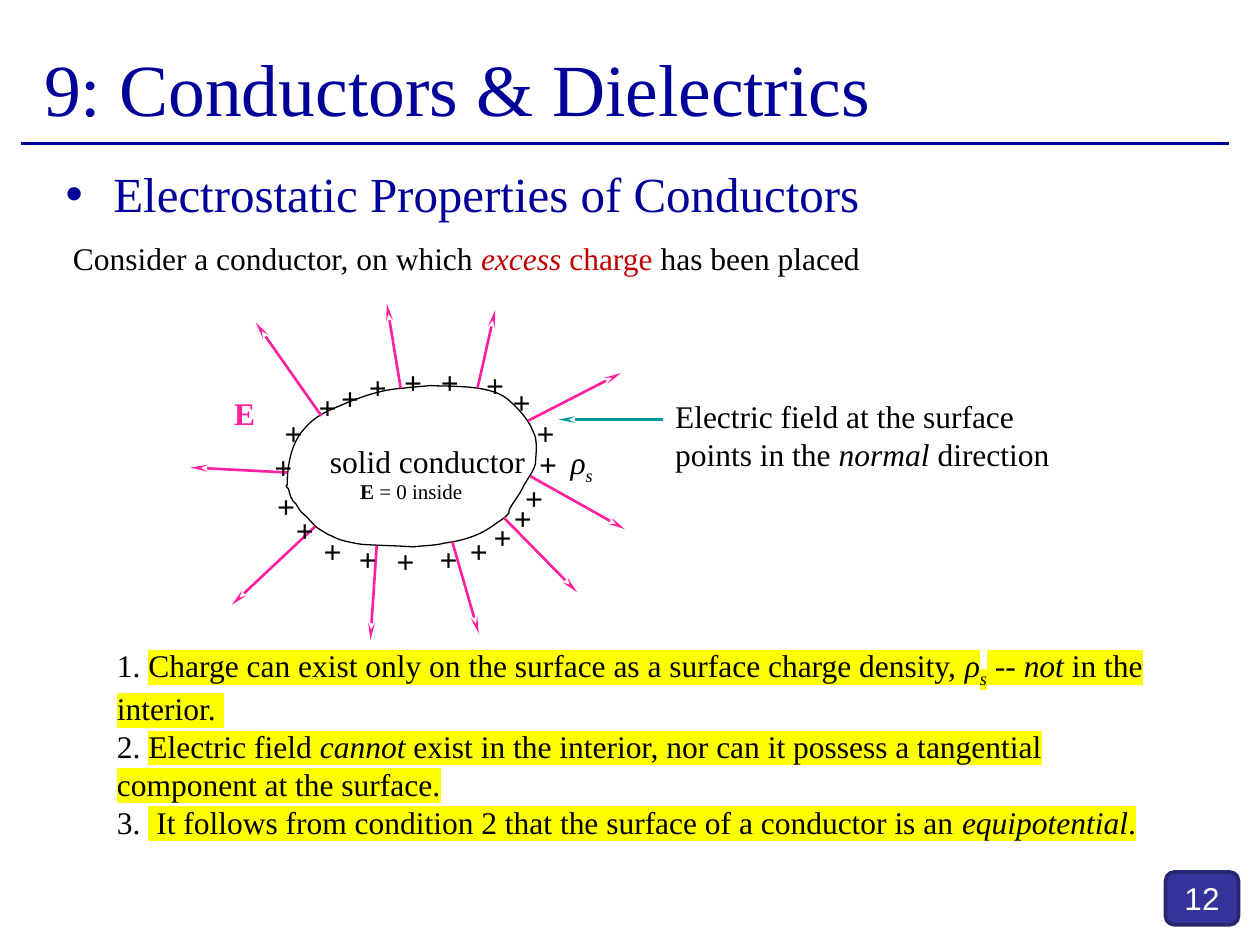
"""Build the slide on the electrostatic properties of conductors."""
from dataclasses import dataclass
from itertools import chain

from lxml.etree import SubElement
from pptx import Presentation
from pptx.dml.color import RGBColor
from pptx.enum.shapes import MSO_CONNECTOR as Connector, MSO_SHAPE as Shape
from pptx.enum.text import MSO_ANCHOR as Anchor, MSO_AUTO_SIZE as AutoSize, PP_ALIGN as Align
from pptx.oxml.ns import qn
from pptx.util import Emu, Pt

EMU_PER_PX = 9144


@dataclass(frozen=True)
class Theme:
    serif: str = "Times New Roman"
    sans: str = "Arial"
    heading: str = "000099"
    ink: str = "000000"
    paper: str = "FFFFFF"
    field: str = "FF20A2"
    pointer: str = "009999"
    accent: str = "C00000"
    marker: str = "FFFF00"
    badge: str = "333399"
    badge_edge: str = "262671"
    title_size: int = 42
    topic_size: int = 28
    text_size: int = 18
    note_size: int = 12


THEME = Theme()


@dataclass(frozen=True)
class Run:
    text: str
    bold: bool = False
    italic: bool = False
    subscript: bool = False
    color: str = THEME.ink
    highlight: str = ""
    size: int = THEME.text_size
    font: str = THEME.serif


@dataclass(frozen=True)
class Box:
    left: int
    top: int
    width: int
    height: int


@dataclass(frozen=True)
class Label:
    box: Box
    paragraphs: tuple[tuple[Run, ...], ...]
    wrap: bool = False


@dataclass(frozen=True)
class Line:
    start: tuple[int, int]
    end: tuple[int, int]
    color: str = THEME.field
    arrow: bool = True


def marked(text: str, **style) -> Run:
    return Run(text, highlight=THEME.marker, **style)


FIELD_LINES = [
    Line((421, 378), (496, 420)), Line((400, 411), (458, 470)),
    Line((419, 334), (493, 296)), Line((318, 308), (307, 241)),
    Line((379, 308), (393, 246)), Line((255, 330), (203, 256)),
    Line((359, 430), (380, 503)), Line((299, 433), (294, 508)),
    Line((250, 418), (184, 480)), Line((228, 375), (151, 371)),
]
RULE = Line((17, 114), (975, 114), THEME.heading, arrow=False)
POINTER = Line((526, 333), (443, 333), THEME.pointer)

CHARGES = [
    (261, 296), (407, 375), (382, 406), (339, 424), (275, 424), (225, 401), (208, 351),
    (243, 303), (311, 283), (376, 286), (416, 324), (363, 417), (305, 425), (247, 417),
    (210, 382), (216, 324), (283, 287), (340, 283), (397, 299), (418, 348), (398, 391),
]

SURFACE_START = (228, 385)
SURFACE_CURVES = [
    ((228, 370), (231, 352), (241, 341)), ((249, 331), (258, 327), (270, 322)),
    ((286, 315), (303, 309), (321, 308)), ((327, 307), (334, 307), (341, 306)),
    ((357, 307), (387, 305), (402, 316)), ((409, 322), (415, 328), (420, 336)),
    ((422, 339), (425, 347), (425, 347)), ((426, 355), (426, 353), (425, 368)),
    ((424, 374), (417, 382), (415, 387)), ((412, 393), (408, 398), (405, 403)),
    ((404, 404), (404, 406), (404, 407)), ((400, 412), (397, 413), (393, 416)),
    ((381, 425), (368, 429), (353, 431)), ((346, 433), (336, 433), (328, 434)),
    ((314, 433), (301, 433), (287, 432)), ((281, 431), (275, 430), (269, 428)),
    ((266, 427), (263, 425), (260, 424)), ((257, 422), (255, 421), (252, 419)),
    ((248, 416), (245, 411), (241, 408)), ((238, 406), (237, 403), (235, 400)),
    ((234, 399), (232, 397), (232, 397)), ((232, 397), (232, 396), (232, 396)),
    ((232, 395), (231, 395), (231, 395)), ((230, 393), (230, 390), (229, 388)),
    ((228, 387), (226, 385), (228, 385)),
]

LABELS = [
    Label(Box(443, 347, 40, 40), ((Run("ρ", italic=True), Run("s", italic=True, subscript=True)),)),
    *(Label(Box(left, top, 35, 40), ((Run("+", bold=True),),)) for left, top in CHARGES),
    Label(Box(176, 308, 37, 40), ((Run("E", bold=True, color=THEME.field),),)),
    Label(Box(252, 346, 177, 40), ((Run("solid conductor"),),)),
    Label(Box(526, 310, 320, 71), (
        (Run("Electric field at the surface"),),
        (Run("points in the "), Run("normal ", italic=True), Run("direction")))),
    Label(Box(276, 375, 102, 30), ((Run("E ", bold=True, size=THEME.note_size),
                                    Run("= 0 inside", size=THEME.note_size)),)),
    Label(Box(48, 185, 768, 40), ((
        Run("Consider a conductor, on which "), Run("excess", italic=True, color=THEME.accent),
        Run(" charge ", color=THEME.accent), Run("has been placed")),), wrap=True),
    Label(Box(83, 508, 842, 162), (
        (Run("1. "), marked("Charge can exist only on the surface as a surface charge density, "),
         marked("ρ", italic=True), marked("s", italic=True, subscript=True), marked(" -- "),
         marked("not ", italic=True), marked("in the interior. ")),
        (Run("2. "), marked("Electric field "), marked("cannot ", italic=True),
         marked("exist in the interior, nor can it possess a tangential component at the surface.")),
        (Run("3. "), marked(" It follows from condition 2 that the surface of a conductor is an "),
         marked("equipotential", italic=True), marked("."))), wrap=True),
]


def px(length: int) -> Emu:
    return Emu(length * EMU_PER_PX)


def place(shape, box: Box) -> None:
    shape.left, shape.top = px(box.left), px(box.top)
    shape.width, shape.height = px(box.width), px(box.height)


def write(paragraph, runs: tuple[Run, ...]) -> None:
    for item in runs:
        run = paragraph.add_run()
        run.text = item.text
        font = run.font
        font.name, font.size = item.font, Pt(item.size)
        font.bold, font.italic = item.bold, item.italic
        font.color.rgb = RGBColor.from_string(item.color)
        properties = run._r.get_or_add_rPr()
        if item.subscript:
            properties.set("baseline", "-25000")
        if item.highlight:
            highlight = SubElement(properties, qn("a:highlight"))
            SubElement(highlight, qn("a:srgbClr"), val=item.highlight)
            properties.find(qn("a:solidFill")).addnext(highlight)


def draw_label(slide, label: Label) -> None:
    shape = slide.shapes.add_textbox(0, 0, 0, 0)
    place(shape, label.box)
    frame = shape.text_frame
    frame.word_wrap = label.wrap
    frame.auto_size = AutoSize.SHAPE_TO_FIT_TEXT
    for index, runs in enumerate(label.paragraphs):
        write(frame.add_paragraph() if index else frame.paragraphs[0], runs)


def draw_line(slide, line: Line) -> None:
    connector = slide.shapes.add_connector(
        Connector.STRAIGHT, *map(px, line.start), *map(px, line.end))
    connector.line.color.rgb = RGBColor.from_string(line.color)
    connector.line.width = Pt(1.5)
    if line.arrow:
        outline = connector.line._get_or_add_ln()
        SubElement(outline, qn("a:tailEnd"), type="stealth", w="sm", len="lg")
    SubElement(connector._element.spPr, qn("a:effectLst"))


def paint(shape, fill: str, edge: str, width: float) -> None:
    shape.shadow.inherit = False
    shape.fill.solid()
    shape.fill.fore_color.rgb = RGBColor.from_string(fill)
    shape.line.color.rgb = RGBColor.from_string(edge)
    shape.line.width = Pt(width)


def draw_surface(slide) -> None:
    builder = slide.shapes.build_freeform(*SURFACE_START, scale=EMU_PER_PX)
    builder.add_line_segments(chain.from_iterable(SURFACE_CURVES), close=True)
    surface = builder.convert_to_shape()
    segments = list(surface._element.iter(qn("a:lnTo")))
    for index in range(0, len(SURFACE_CURVES) * 3, 3):
        group = segments[index:index + 3]
        curve = SubElement(group[0].getparent(), qn("a:cubicBezTo"))
        group[0].addprevious(curve)
        for segment in group:
            curve.append(segment[0])
            segment.getparent().remove(segment)
    paint(surface, THEME.paper, THEME.ink, 0.75)


def draw_headings(slide) -> None:
    title, body = slide.shapes.title, slide.placeholders[1]
    place(title, Box(25, 7, 900, 125))
    place(body, Box(42, 125, 950, 57))
    for shape, anchor, text, size in (
            (title, Anchor.MIDDLE, "9: Conductors & Dielectrics", THEME.title_size),
            (body, Anchor.TOP, "Electrostatic Properties of Conductors", THEME.topic_size)):
        frame = shape.text_frame
        frame.auto_size, frame.vertical_anchor = AutoSize.NONE, anchor
        paragraph = frame.paragraphs[0]
        paragraph.alignment, paragraph.space_before = Align.LEFT, Pt(0)
        write(paragraph, (Run(text, color=THEME.heading, size=size),))
    properties = body.text_frame.paragraphs[0]._p.get_or_add_pPr()
    properties.set("marL", str(px(38)))
    properties.set("indent", str(px(-38)))
    SubElement(properties, qn("a:buChar"), char="•")


def draw_badge(slide) -> None:
    badge = slide.shapes.add_shape(Shape.ROUNDED_RECTANGLE, 0, 0, 0, 0)
    place(badge, Box(925, 692, 58, 42))
    paint(badge, THEME.badge, THEME.badge_edge, 2)
    paragraph = badge.text_frame.paragraphs[0]
    paragraph.alignment = Align.CENTER
    write(paragraph, (Run("12", color=THEME.paper, font=THEME.sans),))


def main() -> None:
    presentation = Presentation()
    presentation.slide_width, presentation.slide_height = px(1000), px(750)
    slide = presentation.slides.add_slide(presentation.slide_layouts[1])
    draw_headings(slide)
    draw_badge(slide)
    draw_surface(slide)
    for line in (RULE, *FIELD_LINES, POINTER):
        draw_line(slide, line)
    for label in LABELS:
        draw_label(slide, label)
    presentation.save("out.pptx")


if __name__ == "__main__":
    main()
